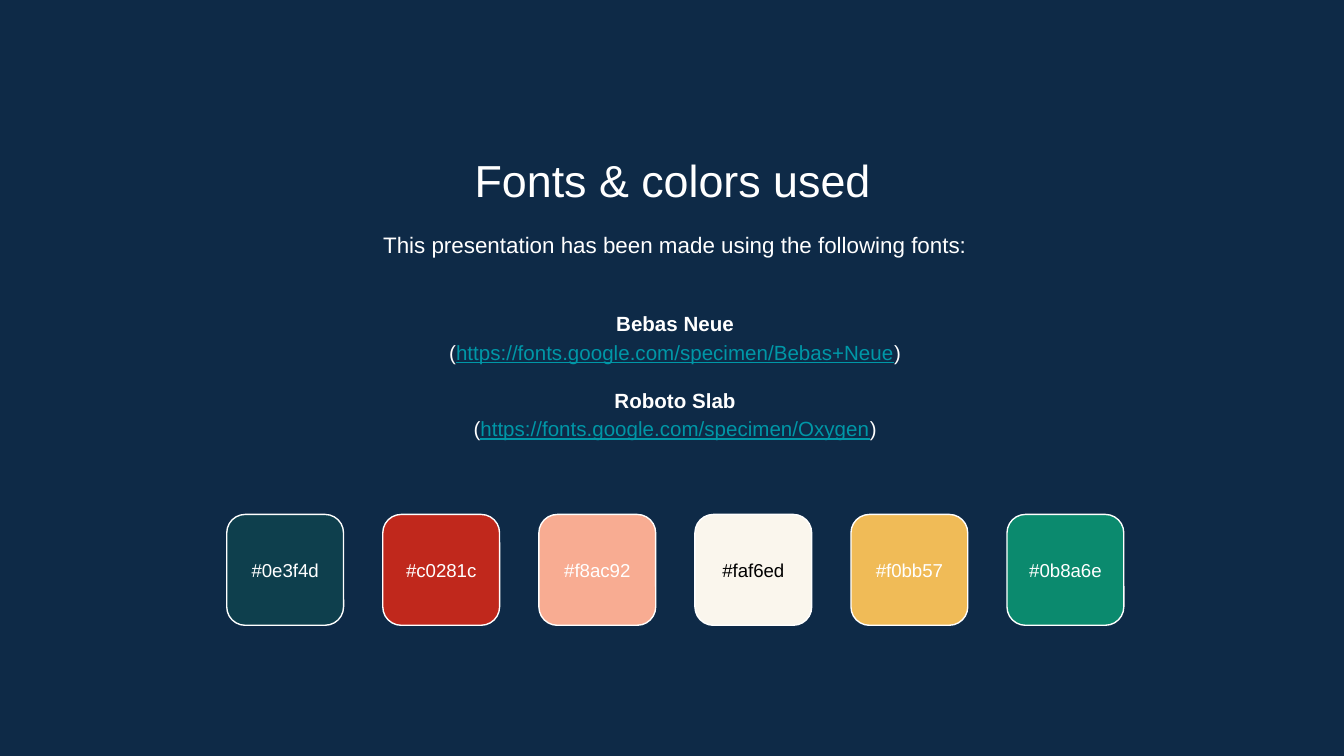
import dataclasses

import pptx
import pptx.dml.color
import pptx.enum.shapes
import pptx.enum.text
import pptx.util

Pt = pptx.util.Pt
Anchor = pptx.enum.text.MSO_ANCHOR


@dataclasses.dataclass(frozen=True)
class Theme:
    font: str = "Arial"
    background: str = "0E2A47"
    light: str = "FFFFFF"
    dark: str = "000000"
    link: str = "0097A7"
    title_size: float = 24
    intro_size: float = 12
    body_size: float = 11
    label_size: float = 10
    outline: float = 0.75
    inset: float = 7.2
    line_spacing: float = 1.15


def color(value):
    return pptx.dml.color.RGBColor.from_string(value.upper())


def add_run(paragraph, text, *, font, size, fill, bold=False, underline=False):
    """Append formatted text to a paragraph."""
    run = paragraph.add_run()
    run.text = text
    run.font.name = font
    run.font.size = Pt(size)
    run.font.bold = bold
    run.font.underline = underline
    run.font.color.rgb = color(fill)


class SlideBuilder:
    def __init__(self, slide, theme):
        self.slide = slide
        self.theme = theme
        slide.background.fill.solid()
        slide.background.fill.fore_color.rgb = color(theme.background)

    def text_box(self, left, top, width, height, anchor=Anchor.TOP):
        shape = self.slide.shapes.add_textbox(Pt(left), Pt(top), Pt(width), Pt(height))
        frame = shape.text_frame
        frame.word_wrap = True
        frame.vertical_anchor = anchor
        frame.margin_left = frame.margin_right = Pt(self.theme.inset)
        frame.margin_top = frame.margin_bottom = Pt(self.theme.inset)
        return frame

    def paragraph(self, frame, pieces, size, fill=None, first=False, spacing=None, before=0):
        """Add a centred paragraph; pieces are (text, format) pairs."""
        paragraph = frame.paragraphs[0] if first else frame.add_paragraph()
        paragraph.alignment = pptx.enum.text.PP_ALIGN.CENTER
        paragraph.line_spacing = spacing
        paragraph.space_before = Pt(before)
        for text, style in pieces:
            settings = {"font": self.theme.font, "size": size,
                        "fill": fill or self.theme.light}
            add_run(paragraph, text, **(settings | style))

    def line(self, box, text, size, fill=None, spacing=None, anchor=Anchor.TOP):
        frame = self.text_box(*box, anchor=anchor)
        self.paragraph(frame, [(text, {})], size, fill, first=True, spacing=spacing)

    def font_list(self, box, fonts, gap):
        theme = self.theme
        frame = self.text_box(*box, anchor=Anchor.MIDDLE)
        link_style = {"fill": theme.link, "underline": True}
        for index, (name, address) in enumerate(fonts):
            self.paragraph(frame, [(name, {"bold": True})], theme.body_size,
                           first=index == 0, spacing=theme.line_spacing,
                           before=gap if index else 0)
            self.paragraph(frame, [("(", {}), (address, link_style), (")", {})],
                           theme.body_size, spacing=theme.line_spacing)

    def swatch(self, left, top, width, height, fill):
        shape = self.slide.shapes.add_shape(
            pptx.enum.shapes.MSO_SHAPE.ROUNDED_RECTANGLE,
            Pt(left), Pt(top), Pt(width), Pt(height))
        shape.shadow.inherit = False
        shape.fill.solid()
        shape.fill.fore_color.rgb = color(fill)
        shape.line.color.rgb = color(self.theme.light)
        shape.line.width = Pt(self.theme.outline)


def main():
    presentation = pptx.Presentation()
    presentation.slide_width = Pt(720)
    presentation.slide_height = Pt(405)
    theme = Theme()
    slide = presentation.slides.add_slide(presentation.slide_layouts[6])
    builder = SlideBuilder(slide, theme)

    # Heading and introduction
    builder.line((82.8, 74.9, 555, 38.2), "Fonts & colors used", theme.title_size)
    builder.line((84.2, 114.5, 555, 34.6),
                 "This presentation has been made using the following fonts:",
                 theme.intro_size, spacing=theme.line_spacing)

    # Fonts with their addresses
    fonts = [
        ("Bebas Neue", "https://fonts.google.com/specimen/Bebas+Neue"),
        ("Roboto Slab", "https://fonts.google.com/specimen/Oxygen"),
    ]
    builder.font_list((84.2, 151.2, 555, 98.6), fonts, gap=10.8)

    # Row of color swatches with their codes
    palette = [
        ("0e3f4d", theme.light), ("c0281c", theme.light), ("f8ac92", theme.light),
        ("faf6ed", theme.dark), ("f0bb57", theme.light), ("0b8a6e", theme.light),
    ]
    first_left, pitch, width = 121.5, 83.6, 62.6
    for index, (code, label_fill) in enumerate(palette):
        left = first_left + index * pitch
        builder.swatch(left, 275.6, width, 59.4, code)
        builder.line((left, 288, width, 34.6), f"#{code}", theme.label_size,
                     label_fill, anchor=Anchor.MIDDLE)

    presentation.save("out.pptx")


if __name__ == "__main__":
    main()
